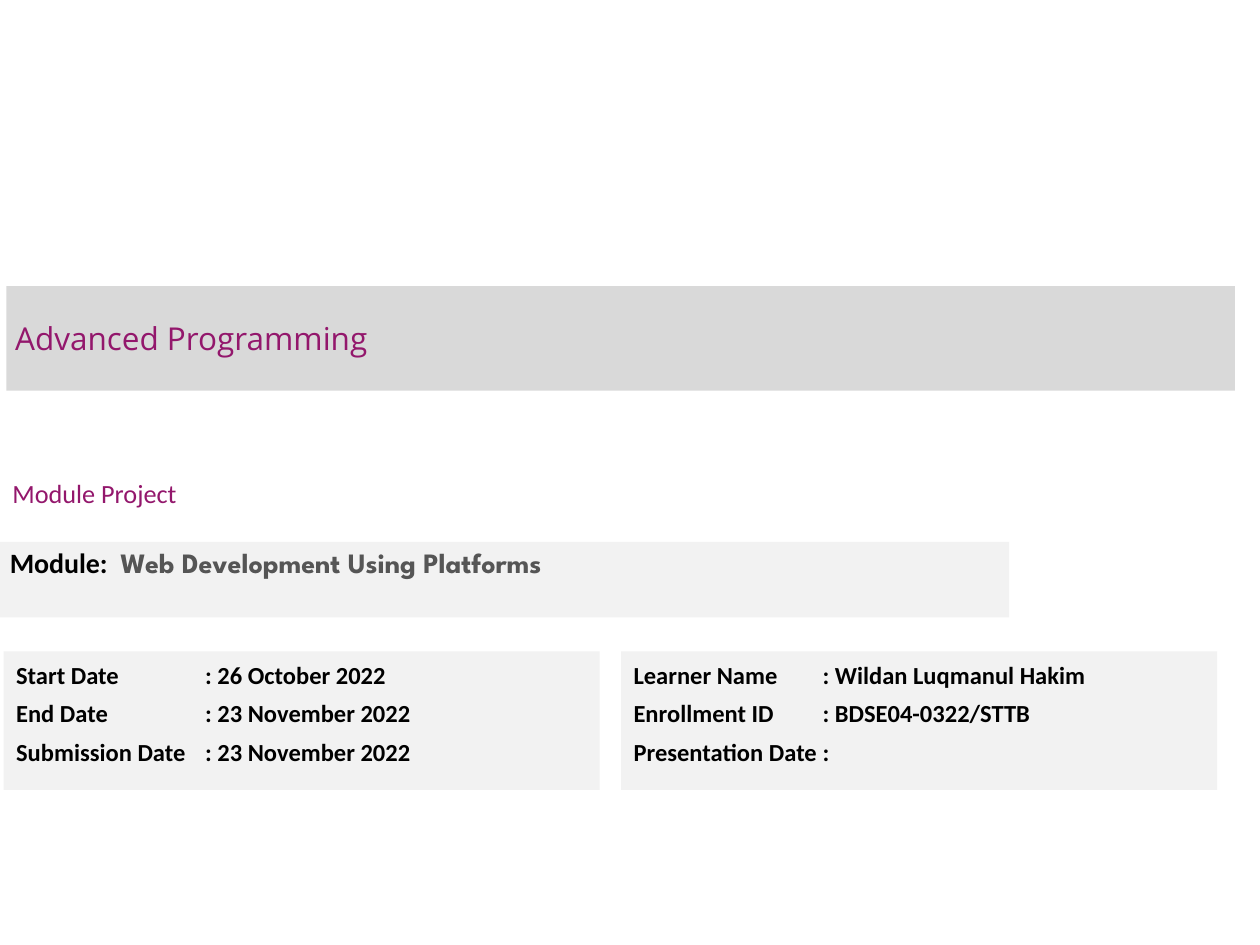
from lxml import etree
from pptx import Presentation, util as u
from pptx.dml.color import RGBColor
from pptx.enum import shapes, text
from pptx.oxml.ns import qn

PURPLE, BLACK, GREY = "93176C", "000000", "555555"
BAND, PANEL = "D9D9D9", "F2F2F2"


def paint(target, colour):
    """Give a fill or a font a solid colour."""
    if hasattr(target, "solid"):
        target.solid()
        target.fore_color.rgb = RGBColor.from_string(colour)
    else:
        target.color.rgb = RGBColor.from_string(colour)


def add_panel(left, top, width, height, lines, size):
    """Add a pale box of bold lines whose values line up at a tab stop."""
    panel = slide.shapes.add_shape(
        shapes.MSO_SHAPE.RECTANGLE, *map(u.Inches, (left, top, width, height)))
    panel.shadow.inherit = False
    paint(panel.fill, PANEL)
    panel.line.fill.background()
    frame = panel.text_frame
    frame.word_wrap = True
    frame.vertical_anchor = text.MSO_ANCHOR.TOP
    frame.text = "\n".join(lines)
    for paragraph in frame.paragraphs:
        paragraph.alignment = text.PP_ALIGN.LEFT
        paragraph.line_spacing = u.Pt(18)
        paragraph.space_before = paragraph.space_after = u.Pt(2)
        stops = etree.SubElement(paragraph._p.get_or_add_pPr(), qn("a:tabLst"))
        etree.SubElement(stops, qn("a:tab"), pos=str(u.Inches(1.5)), algn="l")
        paragraph.font.name = "Calibri"
        paragraph.font.size = u.Pt(size)
        paragraph.font.bold = True
        paint(paragraph.font, BLACK)
    return panel


presentation = Presentation()
presentation.slide_width, presentation.slide_height = u.Inches(10), u.Inches(7.5)
slide = presentation.slides.add_slide(presentation.slide_layouts[5])

# Course title and document type
title = slide.shapes.title
title.left, title.top = u.Inches(0.05), u.Inches(2.27)
title.width, title.height = u.Inches(9.75), u.Inches(0.83)
paint(title.fill, BAND)
subtitle = slide.shapes.add_textbox(
    0, u.Inches(3.6), u.Inches(6.42), u.Inches(0.62))

for shape, words, font_name, size in (
        (title, "Advanced Programming", "Open Sans", 18),
        (subtitle, "Module Project", "Calibri", 15)):
    frame = shape.text_frame
    frame.text = words
    frame.word_wrap = True
    frame.auto_size = text.MSO_AUTO_SIZE.NONE
    frame.vertical_anchor = text.MSO_ANCHOR.MIDDLE
    paragraph = frame.paragraphs[0]
    paragraph.alignment = text.PP_ALIGN.LEFT
    paragraph.font.name = font_name
    paragraph.font.size = u.Pt(size)
    paint(paragraph.font, PURPLE)

title_frame = title.text_frame
title_frame.margin_left = title_frame.margin_right = u.Inches(0.07)
title_frame.margin_top = title_frame.margin_bottom = u.Inches(0.04)

# Module name
module = add_panel(-0.02, 4.3, 8.03, 0.6, ["Module:  "], 16)
module_name = module.text_frame.paragraphs[0].add_run()
module_name.text = "Web Development Using Platforms"
module_name.font.name = "League Spartan"
paint(module_name.font, GREY)

# Dates and learner, in two equal columns
columns = (
    ["Start Date\t: 26 October 2022",
     "End Date\t: 23 November 2022",
     "Submission Date\t: 23 November 2022"],
    ["Learner Name\t: Wildan Luqmanul Hakim",
     "Enrollment ID\t: BDSE04-0322/STTB",
     "Presentation Date\t:"],
)
for column, lines in enumerate(columns):
    add_panel(0.03 + column * 4.9, 5.17, 4.73, 1.1, lines, 14)

presentation.save("out.pptx")
